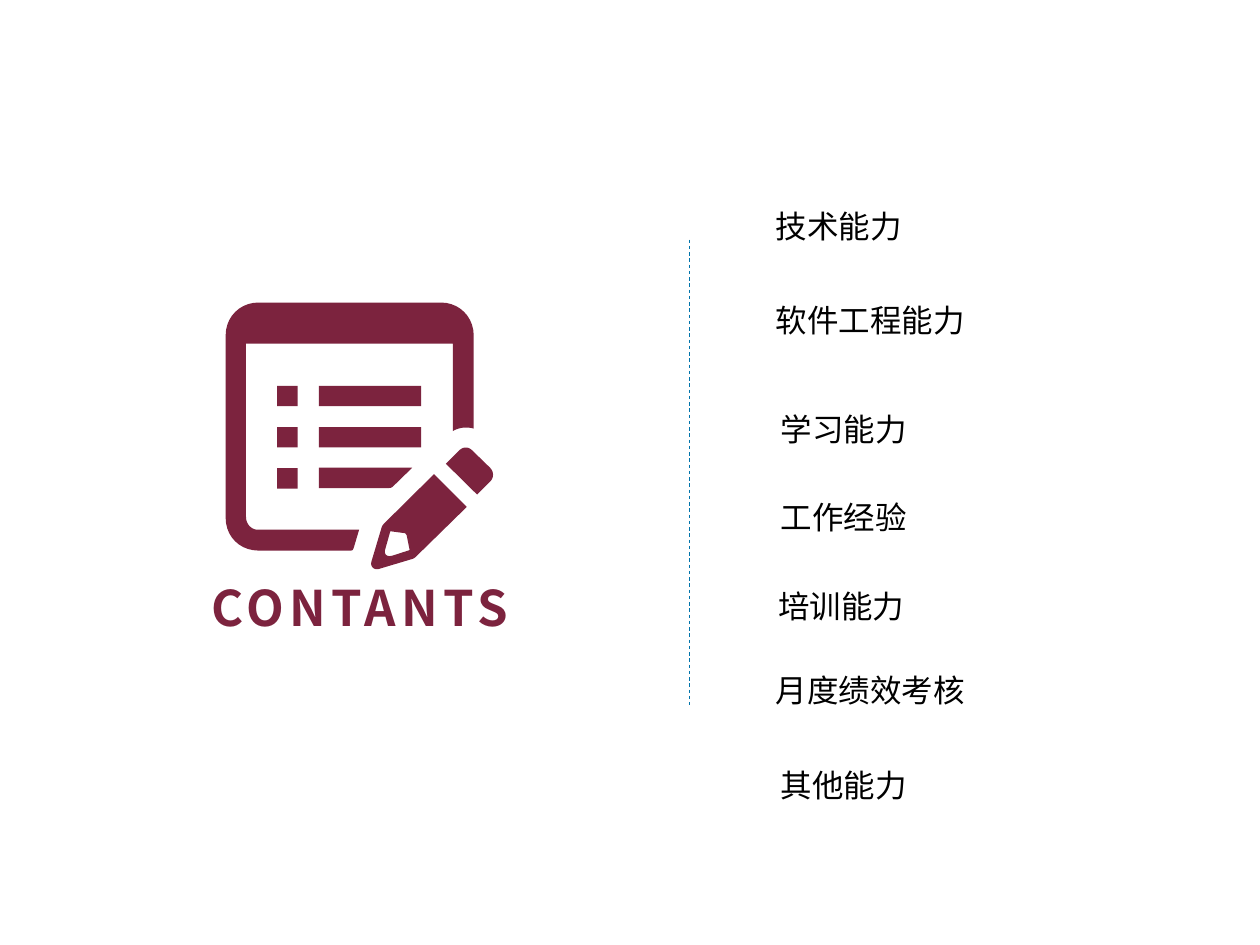
from lxml import etree
from pptx import Presentation
from pptx.dml.color import RGBColor
from pptx.enum.dml import MSO_LINE
from pptx.enum.shapes import MSO_CONNECTOR, MSO_SHAPE
from pptx.enum.text import MSO_AUTO_SIZE, PP_ALIGN
from pptx.oxml.ns import qn
from pptx.util import Cm, Pt

STRAIGHT = MSO_CONNECTOR.STRAIGHT
RECTANGLE = MSO_SHAPE.RECTANGLE
DASH = MSO_LINE.DASH
FIT = MSO_AUTO_SIZE.SHAPE_TO_FIT_TEXT
LEFT, CENTER = PP_ALIGN.LEFT, PP_ALIGN.CENTER
FONT = "Noto Sans CJK SC"
COLORS = {"wine": "7C233E", "divider": "0174AB", "text": "000000"}
CURVE_STEPS = 10


def trace(contour):
    """Points in EMU; a six-number entry is a cubic curve, sampled evenly."""
    points = [contour[0]]
    for step in contour[1:]:
        if len(step) == 2:
            points.append(step)
            continue
        x0, y0 = points[-1]
        x1, y1, x2, y2, x3, y3 = step
        for i in range(1, CURVE_STEPS + 1):
            t = i / CURVE_STEPS
            a, b, c, d = (1 - t) ** 3, 3 * t * (1 - t) ** 2, 3 * t * t * (1 - t), t ** 3
            points.append((a * x0 + b * x1 + c * x2 + d * x3,
                           a * y0 + b * y1 + c * y2 + d * y3))
    return [(Cm(x), Cm(y)) for x, y in points]


def add_label(text, left, top, width, height, size, color, align=LEFT, wrap=True):
    label = slide.shapes.add_textbox(Cm(left), Cm(top), Cm(width), Cm(height))
    frame = label.text_frame
    frame.text = text
    frame.word_wrap = wrap
    frame.auto_size = FIT
    frame.paragraphs[0].alignment = align
    run = frame.paragraphs[0].runs[0]
    run.font.size = Pt(size)
    run.font.name = FONT
    run.font.color.rgb = RGBColor.from_string(COLORS[color])
    etree.SubElement(run.font._element, qn("a:ea")).set("typeface", FONT)
    return run


prs = Presentation()
prs.slide_width, prs.slide_height = Cm(25.4), Cm(19.05)
slide = prs.slides.add_slide(prs.slide_layouts[6])

# Dashed divider
divider = slide.shapes.add_connector(STRAIGHT, Cm(13.9), Cm(4.83), Cm(13.9), Cm(14.22))
divider.line.color.rgb = RGBColor.from_string(COLORS["divider"])
divider.line.width = Pt(0.5)
divider.line.dash_style = DASH
etree.SubElement(divider._element.spPr, qn("a:effectLst"))

# Notepad icon: outlines in cm, each a list of contours
page_frame = [[
    (7.24, 10.68), (7.13, 11.05), (7.11, 11.1, 7.1, 11.1, 7.06, 11.1),
    (5.21, 11.1), (4.84, 11.1, 4.55, 10.82, 4.55, 10.44),
    (4.55, 6.76), (4.55, 6.39, 4.84, 6.1, 5.21, 6.1),
    (8.89, 6.1), (9.26, 6.1, 9.55, 6.39, 9.55, 6.76),
    (9.55, 8.64), (9.4, 8.6, 9.25, 8.62, 9.13, 8.69),
    (9.13, 6.93), (4.96, 6.93), (4.96, 10.42),
    (4.96, 10.56, 5.06, 10.68, 5.2, 10.68),
]]
pencil_body = [
    [(8.75, 9.56), (9.41, 10.22), (8.41, 11.2),
     (8.38, 11.23, 8.35, 11.26, 8.31, 11.27),
     (7.64, 11.47), (7.54, 11.5, 7.46, 11.42, 7.49, 11.32),
     (7.69, 10.65), (7.7, 10.6, 7.73, 10.57, 7.76, 10.54)],
    [(7.87, 10.71), (7.76, 11.1), (7.75, 11.2, 7.82, 11.23, 7.92, 11.2),
     (8.26, 11.09), (8.2, 10.79), (8.17, 10.75)],
]
pencil_eraser = [[
    (8.99, 9.35), (9.25, 9.09), (9.33, 9.0, 9.45, 9.0, 9.53, 9.09),
    (9.88, 9.43), (9.96, 9.51, 9.96, 9.63, 9.88, 9.71), (9.62, 9.97),
]]
cut_bar = [[
    (6.43, 9.43), (8.31, 9.43), (7.92, 9.81),
    (7.9, 9.83, 7.87, 9.84, 7.84, 9.84), (6.43, 9.84),
]]
icon = slide.shapes.add_group_shape()
icon_parts = []
for outline in (page_frame, pencil_body, cut_bar, pencil_eraser):
    contours = [trace(contour) for contour in outline]
    builder = icon.shapes.build_freeform(*contours[0][0], scale=1.0)
    builder.add_line_segments(contours[0][1:], close=True)
    for contour in contours[1:]:
        builder.move_to(*contour[0])
        builder.add_line_segments(contour[1:], close=True)
    icon_parts.append(builder.convert_to_shape())

# List rows: a square bullet each, and full bars on the first two
for row in range(3):
    cells = [(5.59, 0.41), (6.43, 2.06)] if row < 2 else [(5.59, 0.41)]
    for left, width in cells:
        icon_parts.append(icon.shapes.add_shape(
            RECTANGLE, Cm(left), Cm(7.78 + 0.83 * row), Cm(width), Cm(0.41)))

for part in icon_parts:
    part.shadow.inherit = False
    part.fill.solid()
    part.fill.fore_color.rgb = RGBColor.from_string(COLORS["wine"])
    part.line.fill.background()

# Title under the icon
title = add_label("CONTANTS", 3.56, 11.51, 7.39, 1.45, 28, "wine", CENTER)
title.font.bold = True
title.font._element.set("spc", "300")

# Agenda entries: text, left, top, width, wrap
agenda = [
    ("技术能力", 15.39, 4.04, 6.45, True),
    ("软件工程能力", 15.39, 5.94, 6.22, True),
    ("学习能力", 15.49, 8.15, 6.22, True),
    ("工作经验", 15.49, 9.91, 6.22, True),
    ("培训能力", 15.44, 11.71, 3.07, False),
    ("月度绩效考核", 15.39, 13.41, 4.37, False),
    ("其他能力", 15.49, 15.32, 3.07, False),
]
for text, left, top, width, wrap in agenda:
    add_label(text, left, top, width, 1.02, 18, "text", wrap=wrap)

prs.save("out.pptx")
